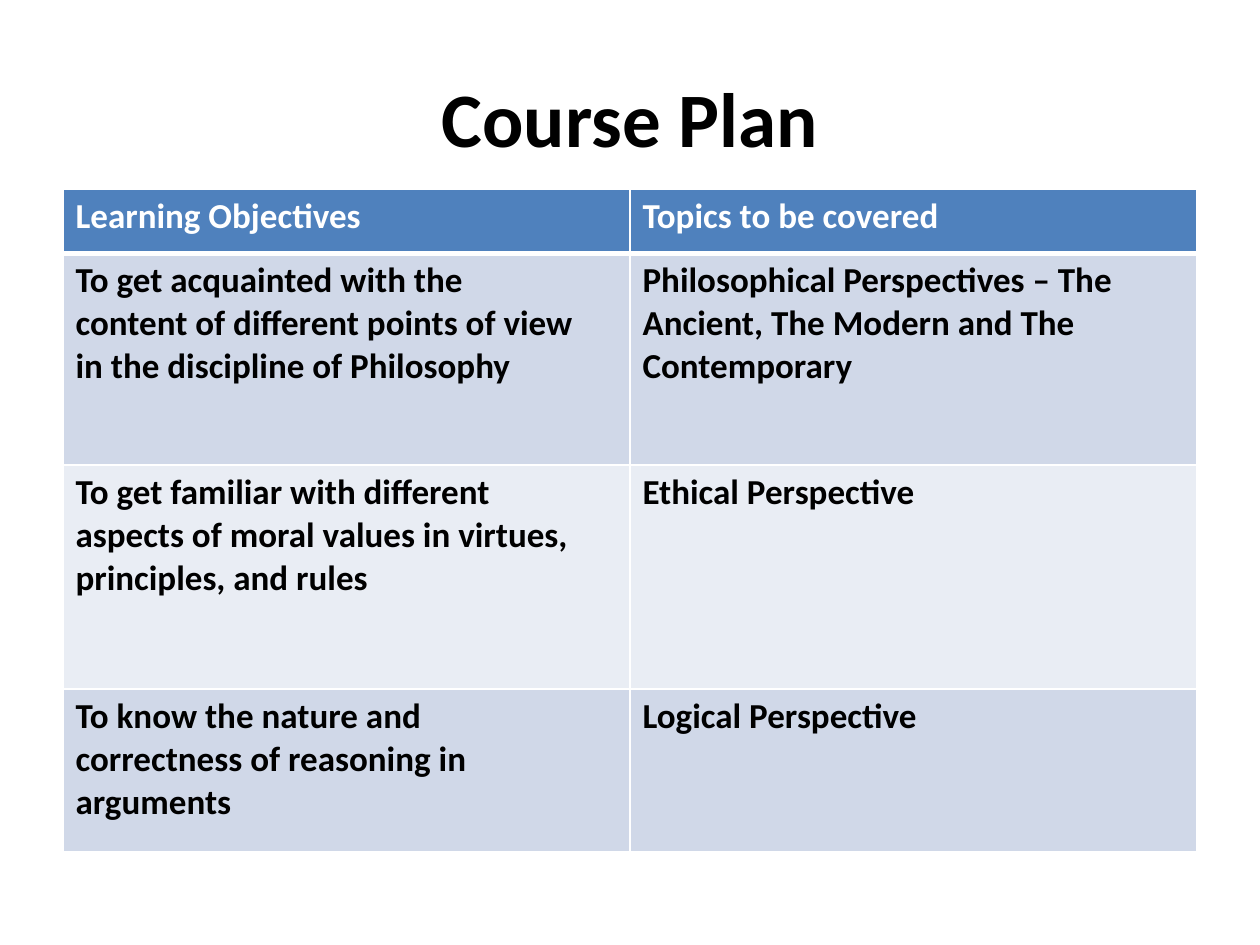
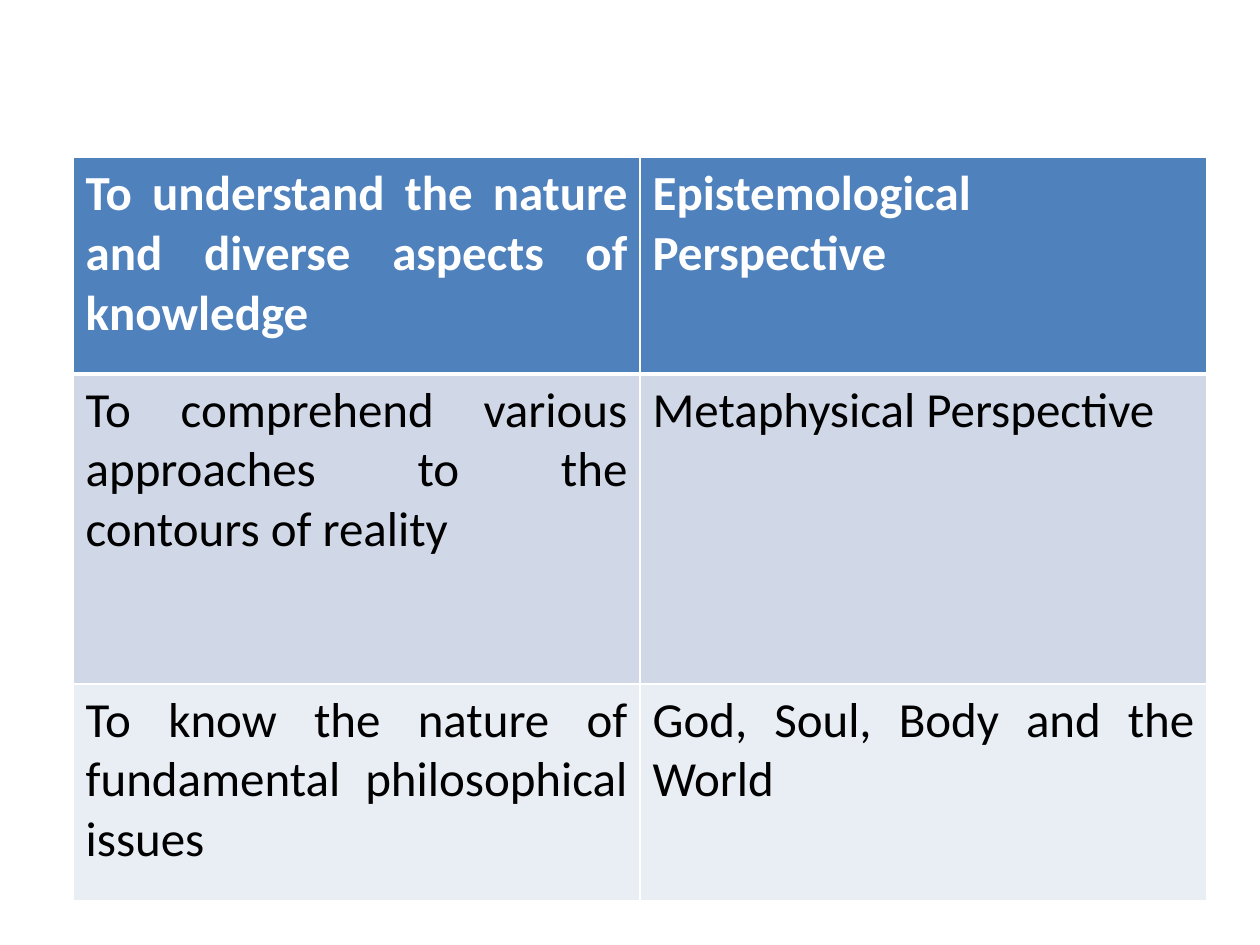
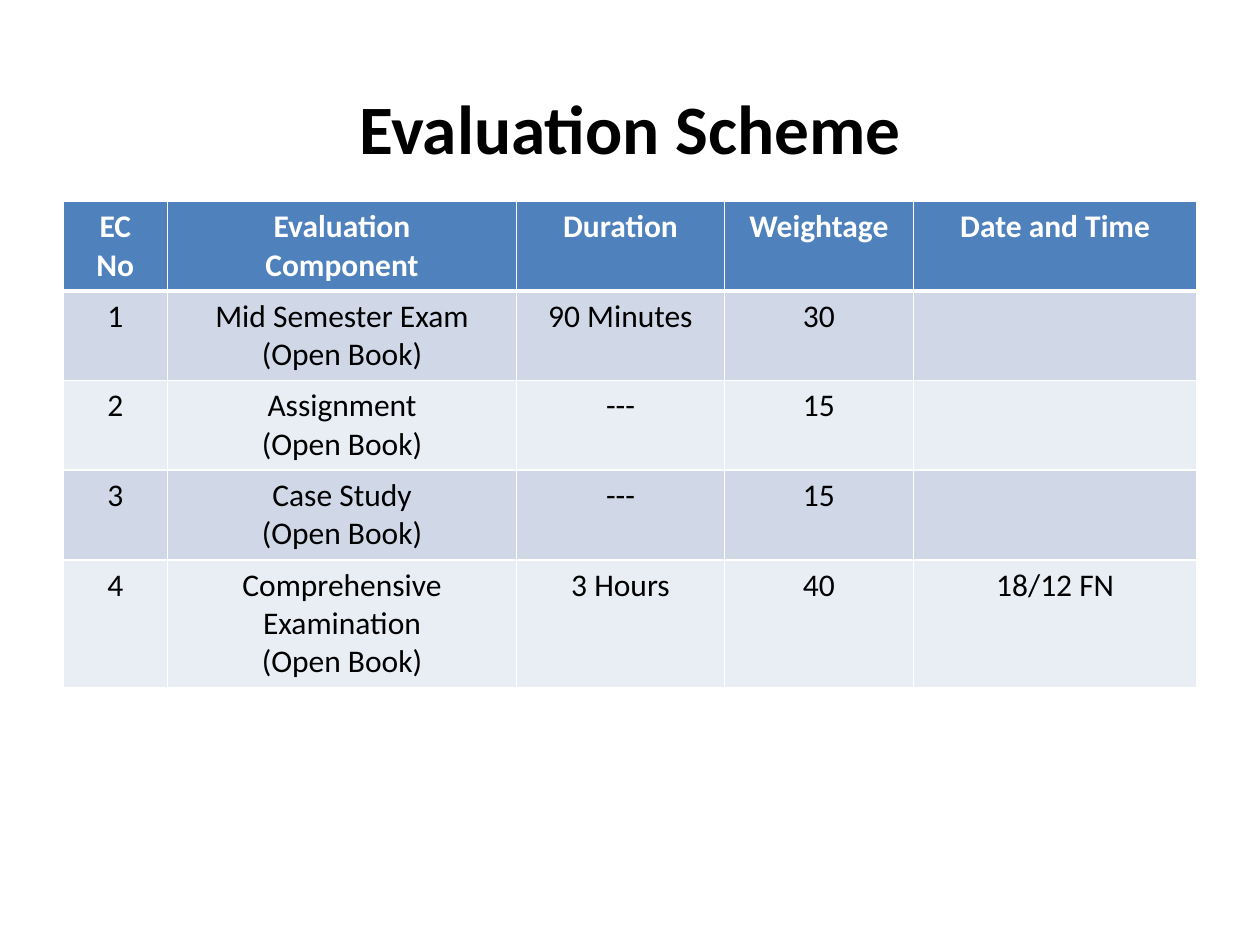
import pptx
import pptx.util
import pptx.dml.color
import pptx.enum.text
import pptx.oxml
from lxml import etree

Inches = pptx.util.Inches
Pt = pptx.util.Pt
Align = pptx.enum.text.PP_ALIGN
FONT = "Calibri"
COLORS = {
    "head": "4F81BD",
    "dark": "D0D8E8",
    "light": "E9EDF4",
    "white": "FFFFFF",
    "black": "000000",
}
NS = "http://schemas.openxmlformats.org/drawingml/2006/main"
BOOK = "(Open Book)"


def color(name):
    return pptx.dml.color.RGBColor.from_string(COLORS[name])


def add_run(para, text, size, tint, bold):
    run = para.add_run()
    run.text = text
    run.font.name = FONT
    run.font.size = Pt(size)
    run.font.bold = bold
    run.font.color.rgb = color(tint)


def add_title(slide, text, top, height, size):
    title = slide.shapes.title
    title.left, title.top = Inches(0.5), Inches(top)
    title.width, title.height = Inches(9), Inches(height)
    frame = title.text_frame
    frame.word_wrap = True
    frame.vertical_anchor = pptx.enum.text.MSO_ANCHOR.MIDDLE
    para = frame.paragraphs[0]
    para.alignment = Align.CENTER
    add_run(para, text, size, "black", True)


def add_edges(cell, row):
    props = cell._tc.get_or_add_tcPr()
    widths = {"L": 1, "R": 1, "T": 3 if row == 1 else 1, "B": 3 if row == 0 else 1}
    for side, width in widths.items():
        line = etree.SubElement(props, f"{{{NS}}}ln{side}", w=str(Pt(width)))
        fill = etree.SubElement(line, f"{{{NS}}}solidFill")
        etree.SubElement(fill, f"{{{NS}}}srgbClr", val=COLORS["white"])


def fill_cell(cell, text, row, size, align, bold):
    add_edges(cell, row)
    cell.fill.solid()
    cell.fill.fore_color.rgb = color("head" if row == 0 else ("light", "dark")[row % 2])
    frame = cell.text_frame
    for index, line in enumerate(text.split("\n") if text else []):
        para = frame.add_paragraph() if index else frame.paragraphs[0]
        para.alignment = align
        add_run(para, line, size, "black" if row else "white", bold or row == 0)


def add_grid(slide, left, top, cols, heights, rows, size, align, head=None, bold=False):
    frame = slide.shapes.add_table(
        len(rows), len(cols), Inches(left), Inches(top),
        Inches(sum(cols)), Inches(sum(heights)))
    table = frame.table
    for col, width in zip(table.columns, cols):
        col.width = Inches(width)
    for r, (height, texts) in enumerate(zip(heights, rows)):
        table.rows[r].height = Inches(height)
        for c, text in enumerate(texts):
            side = head if r == 0 and head is not None else align
            fill_cell(table.cell(r, c), text, r, size, side, bold)


def add_plan(deck):
    slide = deck.slides.add_slide(deck.slide_layouts[5])
    add_title(slide, "Course Plan", 0.3, 1.25, 44)
    rows = [
        ("Learning Objectives", "Topics to be covered"),
        ("To get acquainted with the\ncontent of different points of view\n"
         "in the discipline of Philosophy",
         "Philosophical Perspectives – The\nAncient, The Modern and The\nContemporary"),
        ("To get familiar with different\naspects of moral values in virtues,\n"
         "principles, and rules", "Ethical Perspective"),
        ("To know the nature and\ncorrectness of reasoning in\narguments",
         "Logical Perspective"),
    ]
    add_grid(slide, 0.5, 1.5, [4.5] * 2, [0.51, 1.68, 1.78, 1.29], rows, 20,
             Align.JUSTIFY, head=Align.LEFT, bold=True)


def add_goals(deck):
    slide = deck.slides.add_slide(deck.slide_layouts[6])
    rows = [
        ("To understand the nature and diverse aspects of knowledge",
         "Epistemological Perspective"),
        ("To comprehend various approaches to the contours of reality",
         "Metaphysical Perspective"),
        ("To know the nature of fundamental philosophical issues",
         "God, Soul, Body and the World"),
    ]
    add_grid(slide, 0.58, 1.25, [4.5] * 2, [1.72, 2.46, 1.72], rows, 28, Align.JUSTIFY)


def add_scheme(deck):
    slide = deck.slides.add_slide(deck.slide_layouts[5])
    add_title(slide, "Evaluation Scheme", 0.67, 0.67, 39.6)
    rows = [
        ("EC\nNo", "Evaluation\nComponent", "Duration", "Weightage", "Date and Time"),
        ("1", f"Mid Semester Exam\n{BOOK}", "90 Minutes", "30", ""),
        ("2", f"Assignment\n{BOOK}", "---", "15", ""),
        ("3", f"Case Study\n{BOOK}", "---", "15", ""),
        ("4", f"Comprehensive\nExamination\n{BOOK}", "3 Hours", "40", "18/12 FN"),
    ]
    add_grid(slide, 0.5, 1.6, [0.83, 2.77, 1.65, 1.5, 2.25], [0.71] * 4 + [1.01],
             rows, 18, Align.CENTER)


def main():
    deck = pptx.Presentation()
    deck.slide_width, deck.slide_height = Inches(10), Inches(7.5)
    add_plan(deck)
    add_goals(deck)
    add_scheme(deck)
    deck.save("out.pptx")


main()
